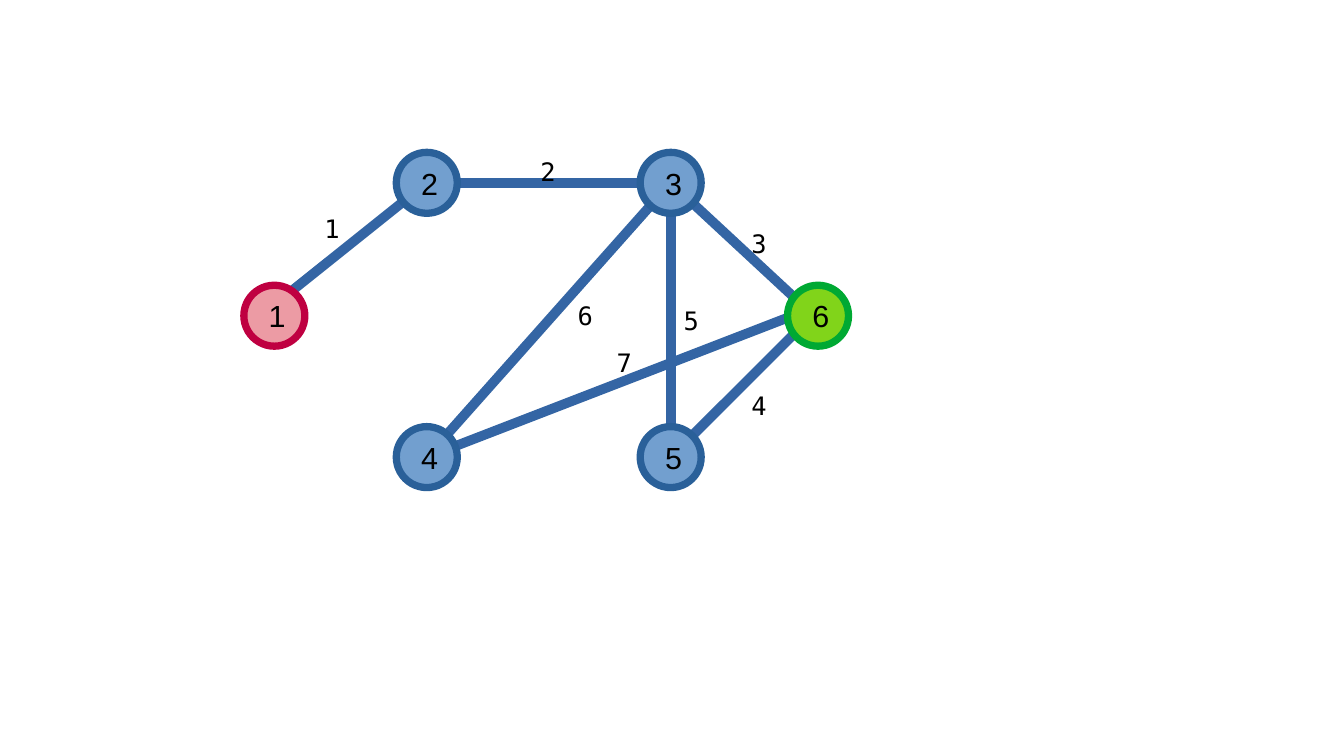
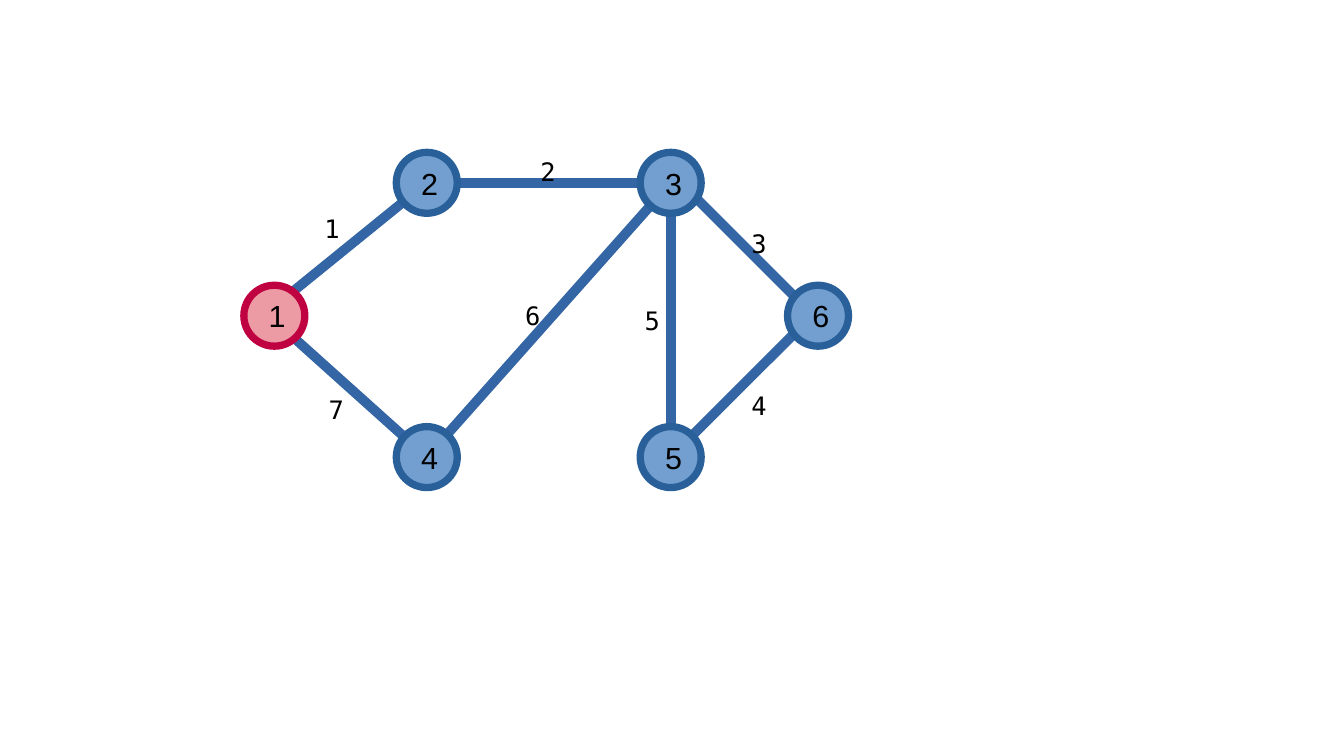
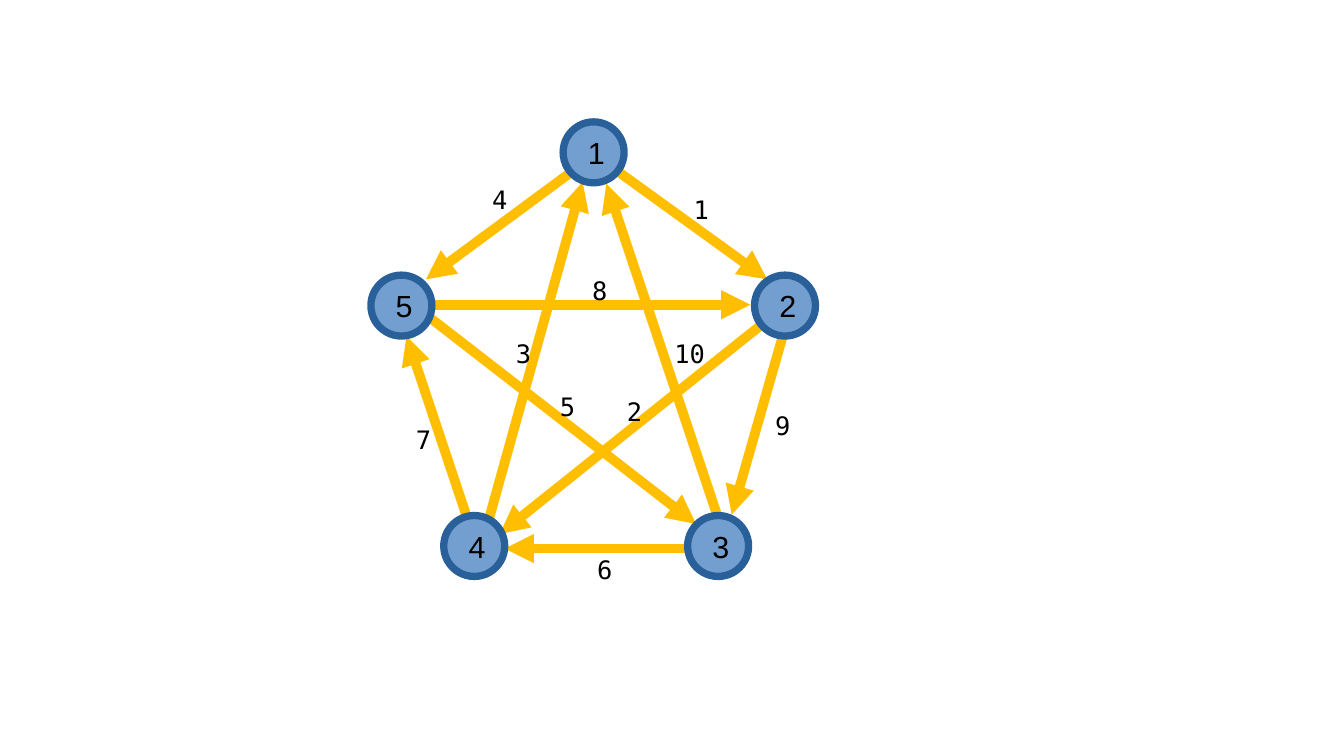
import dataclasses

import lxml.etree
import pptx
import pptx.dml.color
import pptx.enum.shapes
import pptx.enum.text
import pptx.oxml.ns
import pptx.util

Pt = pptx.util.Pt
RGBColor = pptx.dml.color.RGBColor
qn = pptx.oxml.ns.qn


@dataclasses.dataclass(frozen=True)
class Theme:
    node_blue: tuple = ("729FCF", "2A6099")
    node_red: tuple = ("EC9BA4", "BF0041")
    node_green: tuple = ("81D41A", "00A933")
    edge_blue: str = "3465A4"
    edge_amber: str = "FFBF00"
    text: str = "000000"
    node_font: str = "Arial"
    weight_font: str = "DejaVu Sans Mono"
    node_size: float = 18
    weight_size: float = 15
    node_outline: float = 4.31
    edge_width: float = 5.75
    node_diameter: float = 36


theme = Theme()


def write_text(shape, text, font, size, align, anchor, insets, wrap):
    frame = shape.text_frame
    frame.word_wrap = wrap
    frame.vertical_anchor = anchor
    frame.margin_left = frame.margin_right = Pt(insets[0])
    frame.margin_top = frame.margin_bottom = Pt(insets[1])
    paragraph = frame.paragraphs[0]
    paragraph.alignment = align
    run = paragraph.add_run()
    run.text = text
    run.font.name = font
    run.font.size = Pt(size)
    run.font.color.rgb = RGBColor.from_string(theme.text)


street_nodes = {
    1: (162, 186.5),
    2: (252, 108),
    3: (396, 108),
    4: (252, 270),
    5: (396, 270),
    6: (483, 186.5),
}
pentagon_nodes = {
    1: (350.5, 90),
    2: (463.5, 180.5),
    3: (424, 322.5),
    4: (280, 322.5),
    5: (237, 180.5),
}

# Each edge: start, end, weight, left and top of the weight label.
graphs = [
    {
        "nodes": street_nodes,
        "accents": {1: theme.node_red, 6: theme.node_green},
        "edge_color": theme.edge_blue,
        "directed": False,
        "edges": [
            (5, 3, 5, (396.5, 176.5)),
            (3, 4, 6, (334, 173.5)),
            (5, (486, 180), 4, (436.5, 227)),
            (4, (468, 186.5), 7, (357, 201.5)),
            (3, (486.5, 192), 3, (436.5, 131)),
            (2, 3, 2, (312, 88.5)),
            (2, (162, 180), 1, (184.5, 122.5)),
        ],
    },
    {
        "nodes": street_nodes,
        "accents": {1: theme.node_red},
        "edge_color": theme.edge_blue,
        "directed": False,
        "edges": [
            ((474, 192), (402, 264), 4, (436.5, 227)),
            (5, 3, 5, (373.5, 176.5)),
            ((474, 180), (402, 108), 3, (436.5, 131)),
            (4, 3, 6, (303, 173.5)),
            (2, 3, 2, (312, 88.5)),
            (2, (159, 183.5), 1, (184.5, 122.5)),
            (4, (159, 186.5), 7, (187, 229.5)),
        ],
    },
    {
        "nodes": pentagon_nodes,
        "accents": {},
        "edge_color": theme.edge_amber,
        "directed": True,
        "edges": [
            ((406, 324), (298, 324), 6, (345.5, 324)),
            ((244, 180), (411, 309.5), 5, (323.5, 227.5)),
            ((349, 93), (251.5, 165), 4, (283.5, 105)),
            ((281.5, 332.5), (344, 107.5), 3, (297.5, 196)),
            ((276, 306.5), (240, 198.5), 7, (238.5, 247)),
            ((475, 171.5), (295, 315.5), 2, (363, 230.5)),
            ((429, 321), (358, 108.5), 10, (391, 196)),
            ((468, 178), (432, 304), 9, (450.5, 238.5)),
            ((352, 92), (453, 165), 1, (402.5, 111)),
            ((234, 180), (443, 180), 8, (342.5, 159)),
        ],
    },
]

presentation = pptx.Presentation()
presentation.slide_width = Pt(793.5)
presentation.slide_height = Pt(446.5)
blank_layout = presentation.slide_layouts[6]

for graph in graphs:
    slide = presentation.slides.add_slide(blank_layout)
    nodes = graph["nodes"]

    for start, end, weight, label_position in graph["edges"]:
        start_x, start_y = nodes.get(start, start)
        end_x, end_y = nodes.get(end, end)
        edge = slide.shapes.add_connector(
            pptx.enum.shapes.MSO_CONNECTOR.STRAIGHT,
            Pt(start_x), Pt(start_y), Pt(end_x), Pt(end_y),
        )
        edge.line.color.rgb = RGBColor.from_string(graph["edge_color"])
        edge.line.width = Pt(theme.edge_width)
        properties = edge.element.find(qn("p:spPr"))
        if graph["directed"]:
            outline = properties.find(qn("a:ln"))
            lxml.etree.SubElement(outline, qn("a:tailEnd"), type="triangle")
        lxml.etree.SubElement(properties, qn("a:effectLst"))

    for number, (center_x, center_y) in nodes.items():
        fill, outline = graph["accents"].get(number, theme.node_blue)
        radius = theme.node_diameter / 2
        node = slide.shapes.add_shape(
            pptx.enum.shapes.MSO_SHAPE.OVAL,
            Pt(center_x - radius), Pt(center_y - radius),
            Pt(theme.node_diameter), Pt(theme.node_diameter),
        )
        node.shadow.inherit = False
        node.fill.solid()
        node.fill.fore_color.rgb = RGBColor.from_string(fill)
        node.line.color.rgb = RGBColor.from_string(outline)
        node.line.width = Pt(theme.node_outline)
        write_text(
            node, str(number), font=theme.node_font, size=theme.node_size,
            align=pptx.enum.text.PP_ALIGN.CENTER,
            anchor=pptx.enum.text.MSO_ANCHOR.MIDDLE,
            insets=(9.4, 5.8), wrap=True,
        )

    for start, end, weight, (left, top) in graph["edges"]:
        label = slide.shapes.add_textbox(
            Pt(left), Pt(top), Pt(14.4 + 9 * len(str(weight))), Pt(24.5)
        )
        write_text(
            label, str(weight), font=theme.weight_font, size=theme.weight_size,
            align=pptx.enum.text.PP_ALIGN.LEFT,
            anchor=pptx.enum.text.MSO_ANCHOR.TOP,
            insets=(7.2, 3.6), wrap=False,
        )
        label.text_frame.auto_size = pptx.enum.text.MSO_AUTO_SIZE.SHAPE_TO_FIT_TEXT

presentation.save("out.pptx")
